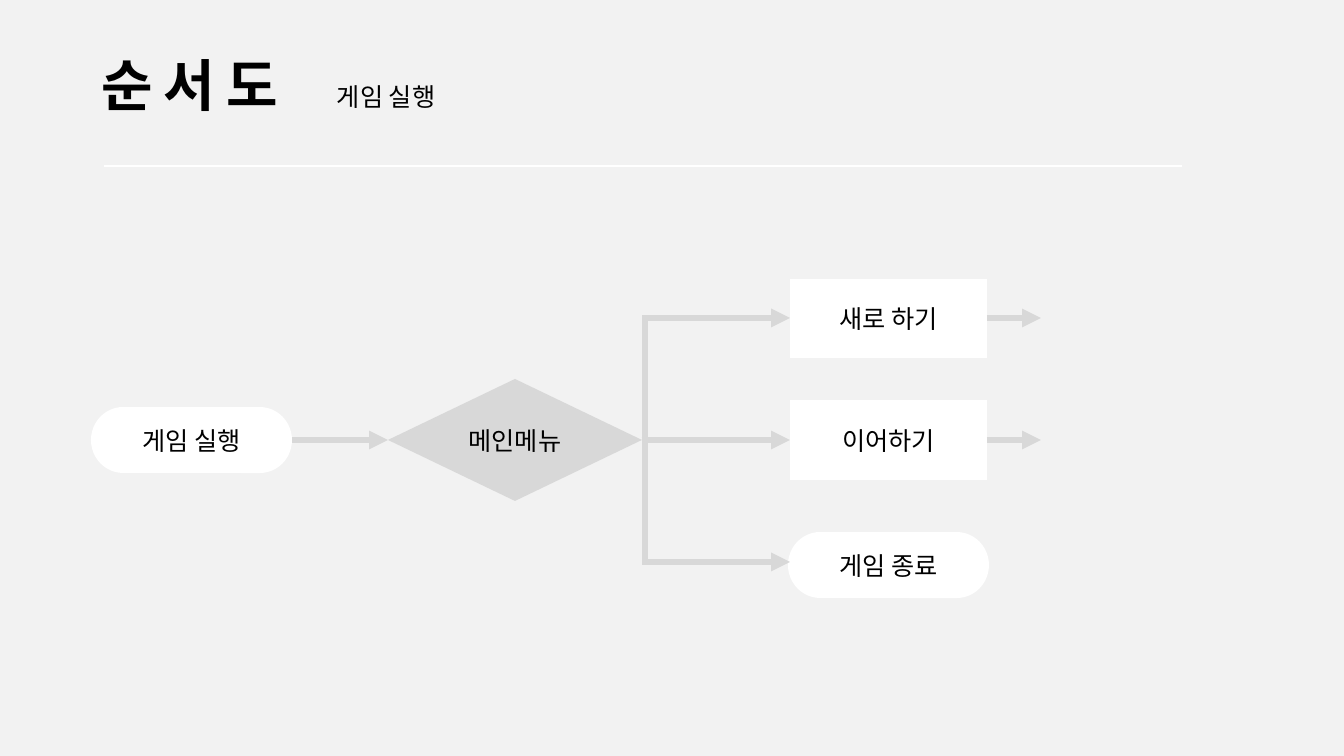
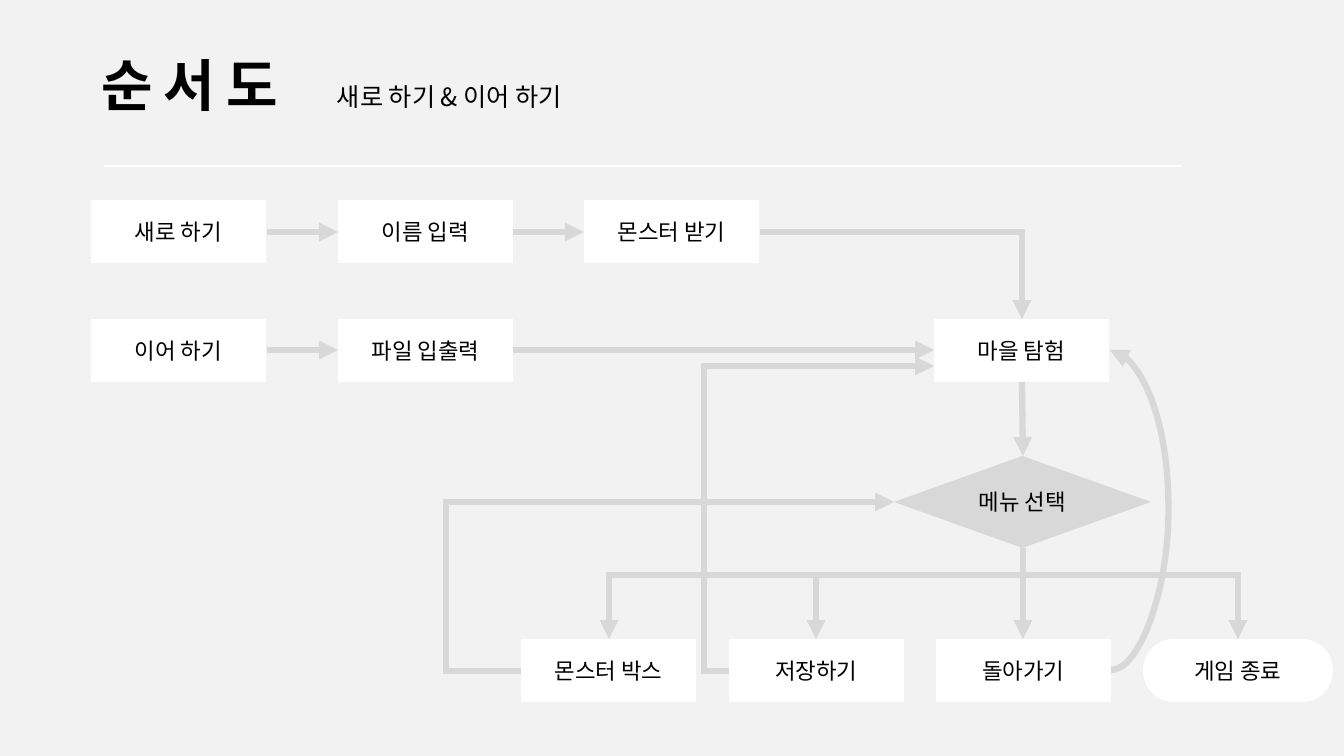
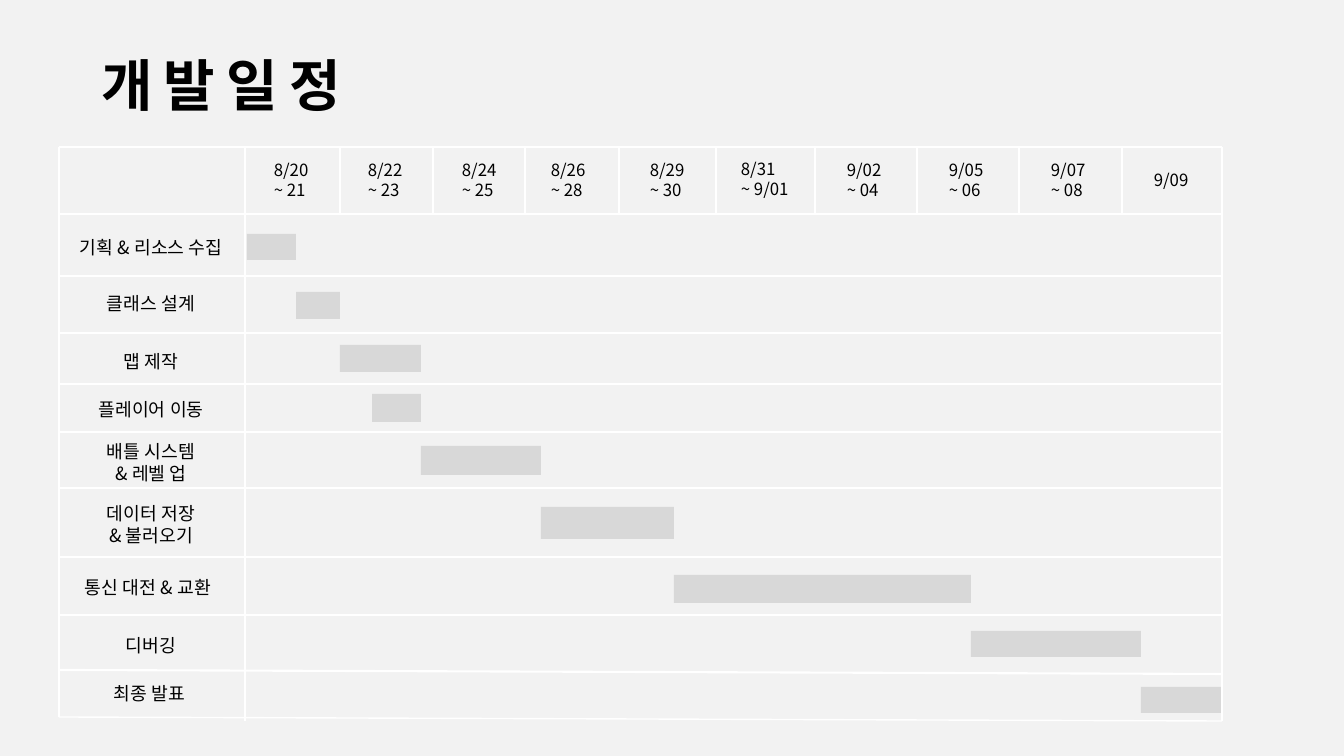
from dataclasses import dataclass

from lxml import etree
from pptx import Presentation
from pptx.dml.color import RGBColor
from pptx.enum import shapes, text
from pptx.oxml import ns
from pptx.util import Emu, Pt


@dataclass(frozen=True)
class Theme:
    """Colours, fonts and type sizes of the deck."""
    back: RGBColor = RGBColor(0xF2, 0xF2, 0xF2)
    white: RGBColor = RGBColor(0xFF, 0xFF, 0xFF)
    gray: RGBColor = RGBColor(0xD8, 0xD8, 0xD8)
    ink: RGBColor = RGBColor(0, 0, 0)
    face: str = "Noto Sans CJK KR"
    latin: str = "Calibri"
    title: int = 40
    large: int = 18
    small: int = 16
    label: int = 13
    date: int = 12
    wide: int = 810
    loose: int = 10
    arrow: float = 4.5
    rule: float = 1
    grid: float = 1.5


theme = Theme()
WIDE, HIGH = 1344, 756
SCALE = 12192000 / WIDE
LEFT, MID = text.PP_ALIGN.LEFT, text.PP_ALIGN.CENTER
BACK, BAR = "back", "bar"
RECT = shapes.MSO_SHAPE.RECTANGLE
BOX = shapes.MSO_SHAPE.FLOWCHART_PROCESS
PILL = shapes.MSO_SHAPE.FLOWCHART_TERMINATOR
GEM = shapes.MSO_SHAPE.FLOWCHART_DECISION
LINE, BENT, CURVE = (shapes.MSO_CONNECTOR.STRAIGHT, shapes.MSO_CONNECTOR.ELBOW,
                     shapes.MSO_CONNECTOR.CURVE)


def put(slide, kind, area, color=None, words="", size=theme.large, align=LEFT,
        face=theme.face, bold=False, track=0):
    """Place a filled shape, a text box (kind None) or the title (kind "title")."""
    area = [Emu(round(n * SCALE)) for n in area]
    if kind == "title":
        item = slide.shapes.title
        item.left, item.top, item.width, item.height = area
    elif kind is None:
        item = slide.shapes.add_textbox(*area)
    else:
        item = slide.shapes.add_shape(kind, *area)
        item.shadow.inherit = False
        item.fill.solid()
        item.fill.fore_color.rgb = color
        item.line.fill.background()
    if words:
        frame = item.text_frame
        frame.text = words
        frame.word_wrap = True
        frame.vertical_anchor = (text.MSO_ANCHOR.MIDDLE if color is not None
                                 else text.MSO_ANCHOR.TOP)
        frame.auto_size = text.MSO_AUTO_SIZE.NONE
        for para in frame.paragraphs:
            para.alignment = align
            font = para.font
            font.size, font.bold, font.name = Pt(size), bold, face
            font.color.rgb = theme.ink
            etree.SubElement(font._element, ns.qn("a:ea"), typeface=theme.face)
            if track:
                font._element.set("spc", str(track))
    return item


def wire(slide, kind, start, end, bend=None, down=False, color=theme.gray,
         width=theme.arrow, head=True):
    """Join two points; bend is the distance from the start to the turn."""
    (ax, ay), (bx, by) = start, end
    run = by - ay if down else bx - ax
    if down:
        side = 1 if bx > ax else -1
        midx, midy = (ax + bx) / 2, (ay + by) / 2
        high, wide = abs(bx - ax) / 2, side * (by - ay) / 2
        ax, bx, ay, by = midx + wide, midx - wide, midy - high, midy + high
    link = slide.shapes.add_connector(
        kind, *(Emu(round(n * SCALE)) for n in (ax, ay, bx, by)))
    link.line.color.rgb, link.line.width = color, Pt(width)
    props = link._element.spPr
    if down:
        props.xfrm.set("rot", str((180 + 90 * side) * 60000))
    if bend is not None:
        guides = props.find(ns.qn("a:prstGeom")).get_or_add_avLst()
        etree.SubElement(guides, ns.qn("a:gd"), name="adj1",
                         fmla=f"val {round(bend / run * 100000)}")
    if head:
        pen = props.find(ns.qn("a:ln"))
        etree.SubElement(pen, ns.qn("a:miter"), lim="800000")
        etree.SubElement(pen, ns.qn("a:tailEnd"), type="triangle")
    etree.SubElement(props, ns.qn("a:effectLst"))
    return link


deck = Presentation()
deck.slide_width, deck.slide_height = (Emu(round(n * SCALE)) for n in (WIDE, HIGH))

# Backdrops, titles, subtitles and rules
slides = []
for name, sub in (("순서도", "게임 실행"), ("순서도", "새로 하기 & 이어 하기"),
                  ("개발일정", None)):
    slide = deck.slides.add_slide(deck.slide_layouts[5])
    slides.append(slide)
    back = put(slide, RECT, (0, 0, WIDE, HIGH), theme.back)
    slide.shapes.title._element.addprevious(back._element)
    put(slide, "title", (91, 45, 699, 78), words=name, size=theme.title,
        bold=True, track=theme.wide)
    if sub:
        put(slide, None, (327, 76, 400, 40), words=sub)
        wire(slide, LINE, (104, 166), (1182, 166), color=theme.white,
             width=theme.rule, head=False)
start, play, plan = slides

# Flowchart steps
first = [
    (PILL, 91, 407, 201, 66, "게임 실행", theme.face),
    (GEM, 388, 379, 254, 122, "메인메뉴", theme.face),
    (BOX, 790, 279, 197, 79, "새로 하기", theme.latin),
    (BOX, 790, 400, 197, 80, "이어하기", theme.latin),
    (PILL, 788, 532, 201, 66, "게임 종료", theme.face),
]
second = [(BOX, x, y, 175, 63, words, theme.face) for x, y, words in (
    (91, 200, "새로 하기"), (338, 200, "이름 입력"), (584, 200, "몬스터 받기"),
    (91, 319, "이어 하기"), (338, 319, "파일 입출력"), (934, 319, "마을 탐험"),
    (521, 639, "몬스터 박스"), (729, 639, "저장하기"), (936, 639, "돌아가기"))]
second += [(GEM, 894, 456, 257, 92, "메뉴 선택", theme.face),
           (PILL, 1143, 639, 190, 63, "게임 종료", theme.face)]
for slide, steps, size in ((start, first, theme.large), (play, second, theme.small)):
    for kind, x, y, w, h, words, face in steps:
        put(slide, kind, (x, y, w, h), theme.gray if kind == GEM else theme.white,
            words, size, MID, face)

# Arrows of the start menu
wire(start, LINE, (292, 440), (388, 440))
wire(start, LINE, (642, 440), (790, 440))
for y in (562, 318):
    wire(start, BENT, (642, 440), (790, y), bend=3)
for y in (318, 440):
    wire(start, LINE, (987, y), (1041, y))

# Arrows of the game loop
for a, b in (((267, 232), (338, 232)), ((513, 232), (584, 232)),
             ((267, 350), (338, 350)), ((513, 350), (934, 350)),
             ((1022, 382), (1023, 456)), ((1023, 548), (1023, 639))):
    wire(play, LINE, a, b)
turn = wire(play, BENT, (760, 232), (1022, 319))
turn._element.spPr.find(ns.qn("a:prstGeom")).set("prst", "bentConnector2")
for x in (609, 816, 1238):
    wire(play, BENT, (1023, 548), (x, 639), bend=27, down=True)
wire(play, BENT, (729, 671), (934, 366), bend=-25)
wire(play, BENT, (521, 671), (894, 502), bend=-75)
wire(play, CURVE, (1111, 670), (1110, 350), bend=58)

# Schedule grid: the last two rows slope a little
rows = [(y, y, theme.grid) for y in (147, 214, 276, 333, 384, 432, 488, 557, 615)]
rows += [(670, 674, theme.grid), (717, 721, theme.rule)]
cols = [(x, 214) for x in (340, 433, 525, 619, 716, 815, 917, 1019, 1122)]
cols += [(59, 717), (245, 721), (1222, 721)]
lines = [((59, a), (1222, b), width) for a, b, width in rows]
lines += [((x, 147), (x, end), theme.grid) for x, end in cols]
for a, b, width in lines:
    wire(plan, LINE, a, b, color=theme.white, width=width, head=False)

# Schedule dates and tasks
for x, y, w, words in (
        (264, 155, 58, "8/20 ~ 21"), (358, 155, 58, "8/22 ~ 23"),
        (452, 155, 58, "8/24 ~ 25"), (541, 155, 58, "8/26 ~ 28"),
        (640, 155, 58, "8/29 ~ 30"), (731, 154, 73, "8/31\n~ 9/01"),
        (837, 155, 58, "9/02 ~ 04"), (939, 155, 58, "9/05 ~ 06"),
        (1041, 155, 58, "9/07 ~ 08"), (1144, 165, 58, "9/09")):
    put(plan, None, (x, y, w, 50 if "~" in words else 30), words=words, size=theme.date)
for x, y, words in (
        (59, 231, "기획 & 리소스 수집"), (59, 287, "클래스 설계"), (59, 345, "맵 제작"),
        (59, 393, "플레이어 이동"), (59, 435, "배틀 시스템\n& 레벨 업"),
        (59, 497, "데이터 저장\n& 불러오기"), (56, 571, "통신 대전 & 교환"),
        (59, 629, "디버깅"), (57, 677, "최종 발표")):
    put(plan, None, (x, y, 184, 54 if "\n" in words else 32), words=words,
        size=theme.label, align=MID, track=theme.loose)

# Schedule bars: left, right, top, height
for x, end, y, h in ((247, 296, 234, 26), (296, 340, 292, 27), (340, 421, 345, 27),
                     (372, 421, 394, 28), (421, 541, 446, 29), (541, 674, 507, 32),
                     (674, 971, 575, 28), (971, 1141, 631, 26), (1141, 1221, 687, 26)):
    put(plan, RECT, (x, y, end - x, h), theme.gray)

deck.save("out.pptx")
